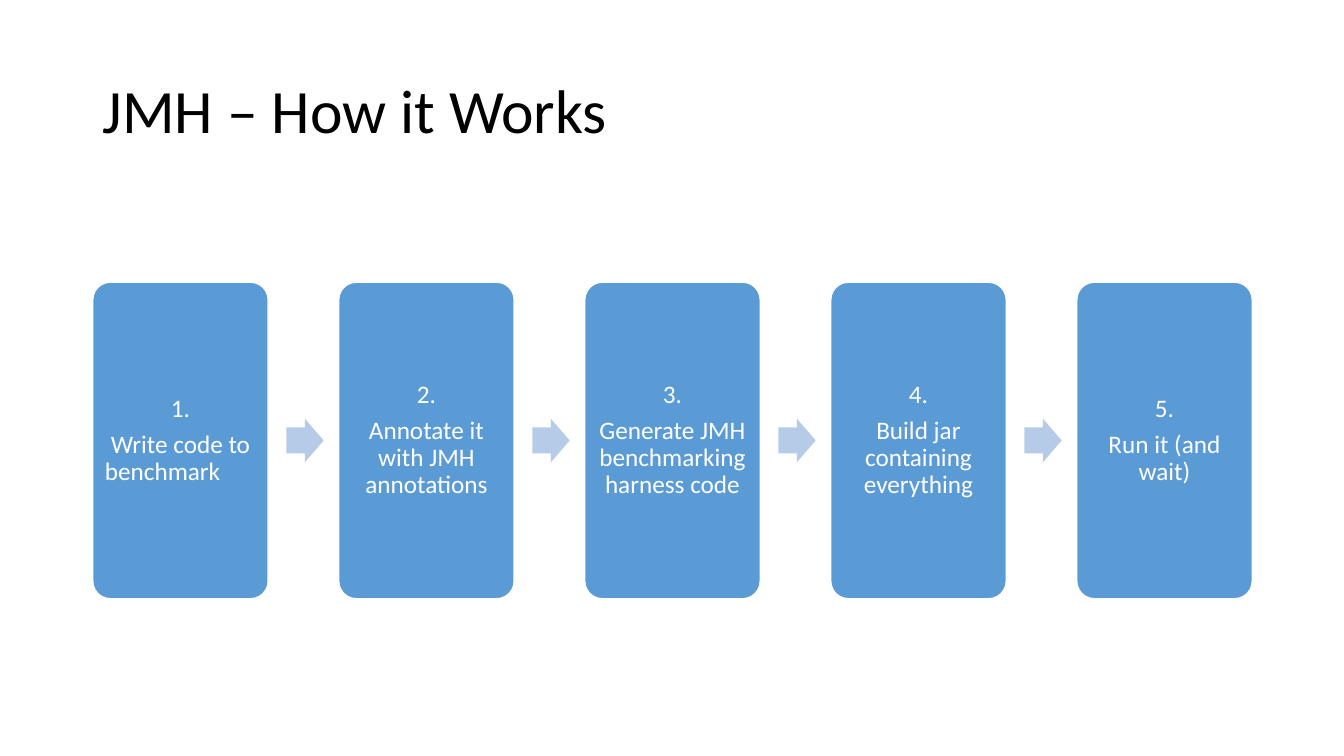
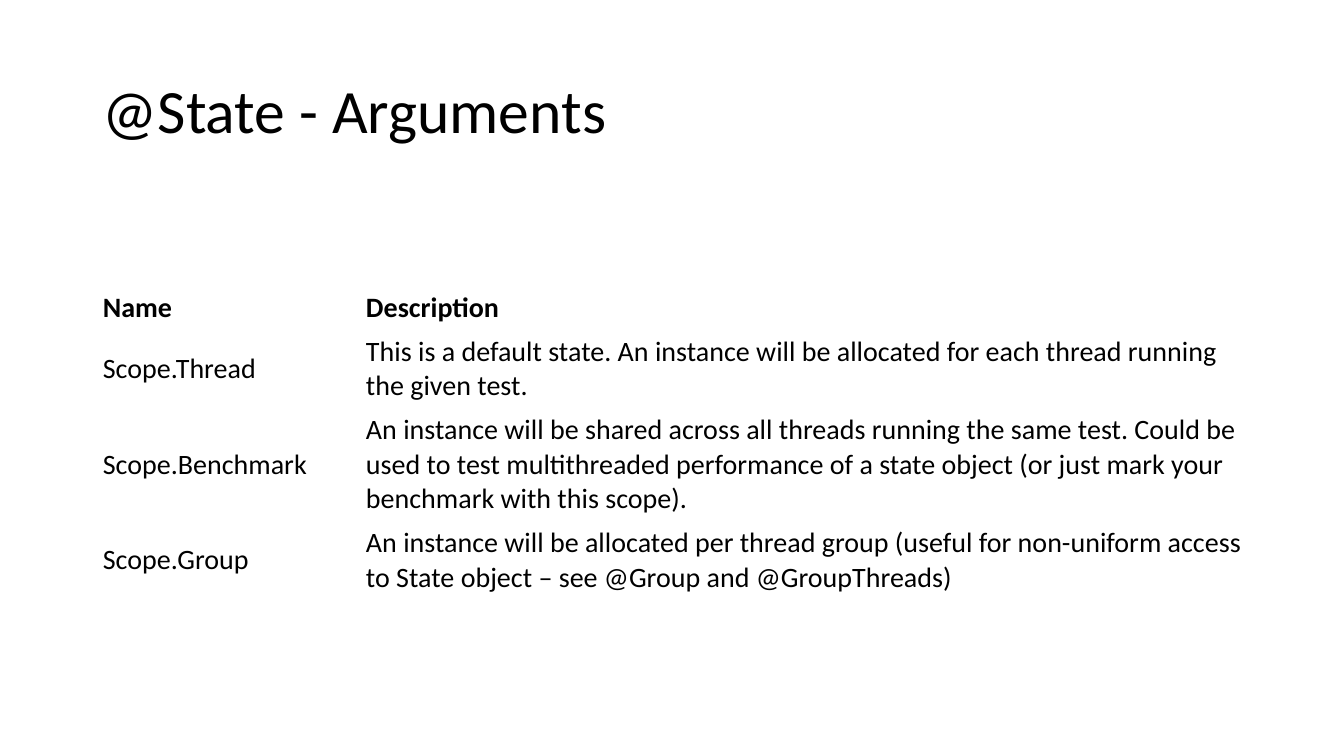
from collections import namedtuple

from pptx import Presentation
from pptx.dml.color import RGBColor
from pptx.enum.shapes import MSO_SHAPE
from pptx.enum.text import MSO_ANCHOR, PP_ALIGN
from pptx.util import Inches, Pt

Box = namedtuple("Box", "left top width height")

# Shared look
FONT = "Calibri"
BLACK, WHITE, BLUE, PALE_BLUE = "000000", "FFFFFF", "5B9BD5", "B5CBE7"
TITLE_BOX = Box(0.92, 0.4, 11.5, 1.45)
STEPS_BOX = Box(0.92, 2.8, 11.5, 3.14)
TABLE_BOX = Box(0.92, 2.83, 11.5, 3.12)

STEPS = [
    "Write code to benchmark\t",
    "Annotate it with JMH annotations",
    "Generate JMH benchmarking harness code",
    "Build jar containing everything",
    "Run it (and wait)",
]

# Name, description and the number of text lines in the row
SCOPES = [
    ("Name", "Description", 1),
    ("Scope.Thread", "This is a default state. An instance will be allocated for "
     "each thread running the given test.", 2),
    ("Scope.Benchmark", "An instance will be shared across all threads running the "
     "same test. Could be used to test multithreaded performance of a state object "
     "(or just mark your benchmark with this scope).", 3),
    ("Scope.Group", "An instance will be allocated per thread group (useful for "
     "non-uniform access to State object – see @Group and @GroupThreads)", 2),
]


def color(value):
    return RGBColor.from_string(value)


def inches(box):
    return [Inches(length) for length in box]


def add_span(para, text, size, ink, bold=False):
    span = para.add_run()
    span.text = text
    span.font.name = FONT
    span.font.size = Pt(size)
    span.font.bold = bold
    span.font.color.rgb = color(ink)


def add_block(page, kind, box, fill, adjustments, line=None):
    """A flat preset shape, outlined only when a line colour is given."""
    block = page.shapes.add_shape(kind, *inches(box))
    block.shadow.inherit = False
    for index, value in enumerate(adjustments):
        block.adjustments[index] = value
    block.fill.solid()
    block.fill.fore_color.rgb = color(fill)
    if line:
        block.line.color.rgb = color(line)
        block.line.width = Pt(1)
    else:
        block.line.fill.background()
    return block


def add_page(deck, title):
    """A blank page with the shared title."""
    page = deck.slides.add_slide(deck.slide_layouts[6])
    frame = page.shapes.add_textbox(*inches(TITLE_BOX)).text_frame
    frame.word_wrap = True
    frame.vertical_anchor = MSO_ANCHOR.MIDDLE
    para = frame.paragraphs[0]
    para.line_spacing = 0.9
    add_span(para, title, 44, BLACK)
    return page


def add_step(page, box, number, text):
    card = add_block(page, MSO_SHAPE.ROUNDED_RECTANGLE, box, BLUE, [0.1], WHITE)
    frame = card.text_frame
    frame.word_wrap = True
    frame.vertical_anchor = MSO_ANCHOR.MIDDLE
    frame.margin_left = frame.margin_right = Inches(0.07)
    frame.margin_top = frame.margin_bottom = Inches(0.07)
    for para, words in ((frame.paragraphs[0], f"{number}."),
                        (frame.add_paragraph(), text)):
        para.alignment = PP_ALIGN.CENTER
        para.line_spacing = 0.9
        para.space_after = Pt(6.3)
        add_span(para, words, 18, WHITE)


def add_process(page, box, steps):
    """Equal cards across the box with an arrow in each gap."""
    card_width, arrow_width, arrow_height = 1.74, 0.37, 0.43
    pitch = (box.width - card_width) / (len(steps) - 1)
    arrow_top = box.top + (box.height - arrow_height) / 2
    for index, text in enumerate(steps):
        left = box.left + index * pitch
        add_step(page, Box(left, box.top, card_width, box.height), index + 1, text)
        if index < len(steps) - 1:
            arrow = Box(left + card_width + 0.18, arrow_top, arrow_width, arrow_height)
            add_block(page, MSO_SHAPE.RIGHT_ARROW, arrow, PALE_BLUE, [0.6, 0.5])


def add_scope_table(page, box, rows):
    """A plain two-column table with a bold heading row."""
    table = page.shapes.add_table(len(rows), 2, *inches(box)).table
    table.first_row = table.horz_banding = False
    name_width = 2.61
    table.columns[0].width = Inches(name_width)
    table.columns[1].width = Inches(box.width - name_width)
    for row_index, (*texts, lines) in enumerate(rows):
        table.rows[row_index].height = Inches(0.1 + 0.34 * lines)
        for column_index, text in enumerate(texts):
            cell = table.cell(row_index, column_index)
            cell.fill.background()
            cell.vertical_anchor = MSO_ANCHOR.MIDDLE
            add_span(cell.text_frame.paragraphs[0], text, 20, BLACK, row_index == 0)


def main():
    deck = Presentation()
    deck.slide_width, deck.slide_height = Inches(13.33), Inches(7.5)
    add_process(add_page(deck, "JMH – How it Works"), STEPS_BOX, STEPS)
    add_scope_table(add_page(deck, "@State - Arguments"), TABLE_BOX, SCOPES)
    deck.save("out.pptx")


if __name__ == "__main__":
    main()
